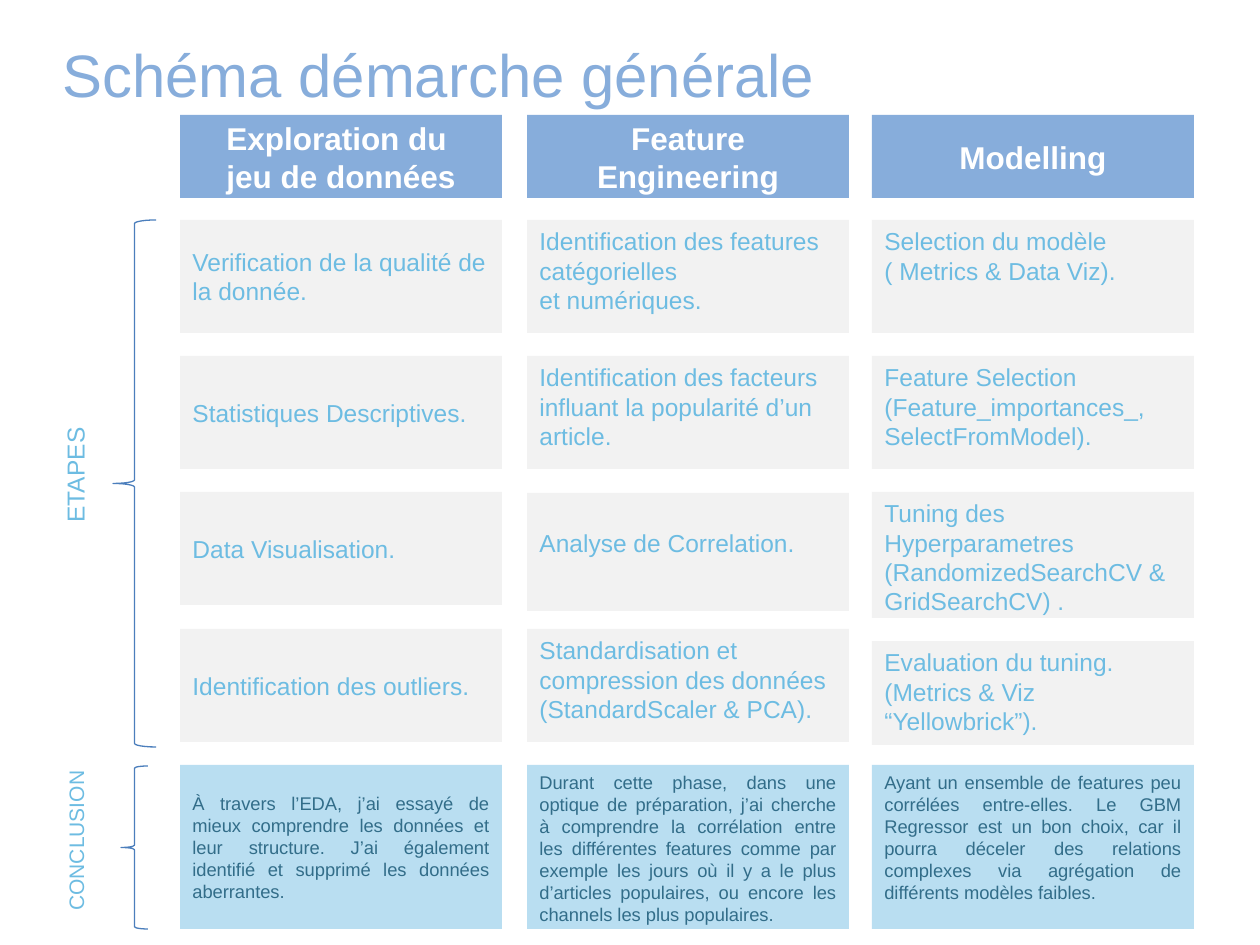
"""Builds a one-slide overview of a three-phase data science approach."""
from pptx import Presentation
from pptx.dml.color import RGBColor
from pptx.enum.shapes import MSO_SHAPE
from pptx.enum.text import MSO_ANCHOR, PP_ALIGN
from pptx.util import Pt

RECT, BRACE = MSO_SHAPE.RECTANGLE, MSO_SHAPE.LEFT_BRACE
TOP, MIDDLE = MSO_ANCHOR.TOP, MSO_ANCHOR.MIDDLE
LEFT, CENTER, JUSTIFY = PP_ALIGN.LEFT, PP_ALIGN.CENTER, PP_ALIGN.JUSTIFY
PX = 914400 / 126
BLUE, SKY, GREY, PALE, TEAL = "87ADDB", "6DBCE2", "F2F2F2", "B9DEF1", "326D89"
COLUMN_WIDTH, STEP_HEIGHT = 322, 113


def px(*lengths):
    return [round(length * PX) for length in lengths]


def write(box, text, size, color, align=LEFT, anchor=TOP, bold=False, wrap=True):
    frame = box.text_frame
    frame.word_wrap = wrap
    frame.vertical_anchor = anchor
    frame.text = text
    for paragraph in frame.paragraphs:
        paragraph.alignment = align
        for run in paragraph.runs:
            run.font.name = "Arial"
            run.font.size = Pt(size)
            run.font.bold = bold
            run.font.color.rgb = RGBColor.from_string(color)


prs = Presentation()
prs.slide_width, prs.slide_height = px(1260, 945)
slide = prs.slides.add_slide(prs.slide_layouts[6])
shapes = slide.shapes

title = shapes.add_textbox(*px(50, 32, 1197, 83))
write(title, "Schéma démarche générale", 34.2, BLUE, anchor=MIDDLE)

phases = [
    (180, MIDDLE, "Exploration du \njeu de données",
     ["Verification de la qualité de la donnée.",
      "Statistiques Descriptives.",
      "Data Visualisation.",
      "Identification des outliers."],
     "À travers l’EDA, j’ai essayé de mieux comprendre les données et leur "
     "structure. J’ai également identifié et supprimé les données aberrantes."),
    (527, TOP, "Feature Engineering",
     ["Identification des features catégorielles\net numériques.",
      "Identification des facteurs influant la popularité d’un article.",
      "Analyse de Correlation.",
      "Standardisation et compression des données (StandardScaler & PCA)."],
     "Durant cette phase, dans une optique de préparation, j’ai cherche à "
     "comprendre la corrélation entre les différentes features comme par exemple "
     "les jours où il y a le plus d’articles populaires, ou encore les channels "
     "les plus populaires."),
    (872, TOP, "Modelling",
     ["Selection du modèle\n( Metrics & Data Viz).",
      "Feature Selection\n(Feature_importances_, SelectFromModel).",
      "Tuning des Hyperparametres\n(RandomizedSearchCV & GridSearchCV) .",
      "Evaluation du tuning.\n(Metrics & Viz “Yellowbrick”)."],
     "Ayant un ensemble de features peu corrélées entre-elles. Le GBM Regressor "
     "est un bon choix, car il pourra déceler des relations complexes via "
     "agrégation de différents modèles faibles."),
]
step_tops = [220, 356, 492, 629]
special_extents = {(527, 2): (493, 118), (872, 2): (492, 126), (872, 3): (641, 104)}

for left, anchor, heading, steps, conclusion in phases:
    cells = [(115, 83, BLUE, heading, 18, "FFFFFF", CENTER, MIDDLE, True)]
    for row, step in enumerate(steps):
        top, height = special_extents.get((left, row), (step_tops[row], STEP_HEIGHT))
        cells.append((top, height, GREY, step, 14, SKY, LEFT, anchor, False))
    cells.append((765, 164, PALE, conclusion, 10.5, TEAL, JUSTIFY, anchor, False))
    for top, height, fill, *text_style in cells:
        cell = shapes.add_shape(RECT, *px(left, top, COLUMN_WIDTH, height))
        cell.shadow.inherit = False
        cell.fill.solid()
        cell.fill.fore_color.rgb = RGBColor.from_string(fill)
        cell.line.fill.background()
        write(cell, *text_style)
        if text_style[0] == "Analyse de Correlation.":
            cell.text_frame.margin_top = px(35)[0]

stages = [
    ("ETAPES", 14, (14, 452, 123, 43), (113, 220, 43, 527)),
    ("CONCLUSION", 12, (-8, 820, 168, 38), (121, 766, 27, 163)),
]
for stage, size, label_box, brace_box in stages:
    brace = shapes.add_shape(BRACE, *px(*brace_box))
    brace.shadow.inherit = False
    brace.fill.background()
    brace.line.color.rgb = RGBColor.from_string("4B7EBC")
    brace.line.width = Pt(0.75)
    label = shapes.add_textbox(*px(*label_box))
    label.rotation = 270
    write(label, stage, size, SKY, wrap=False)

prs.save("out.pptx")
